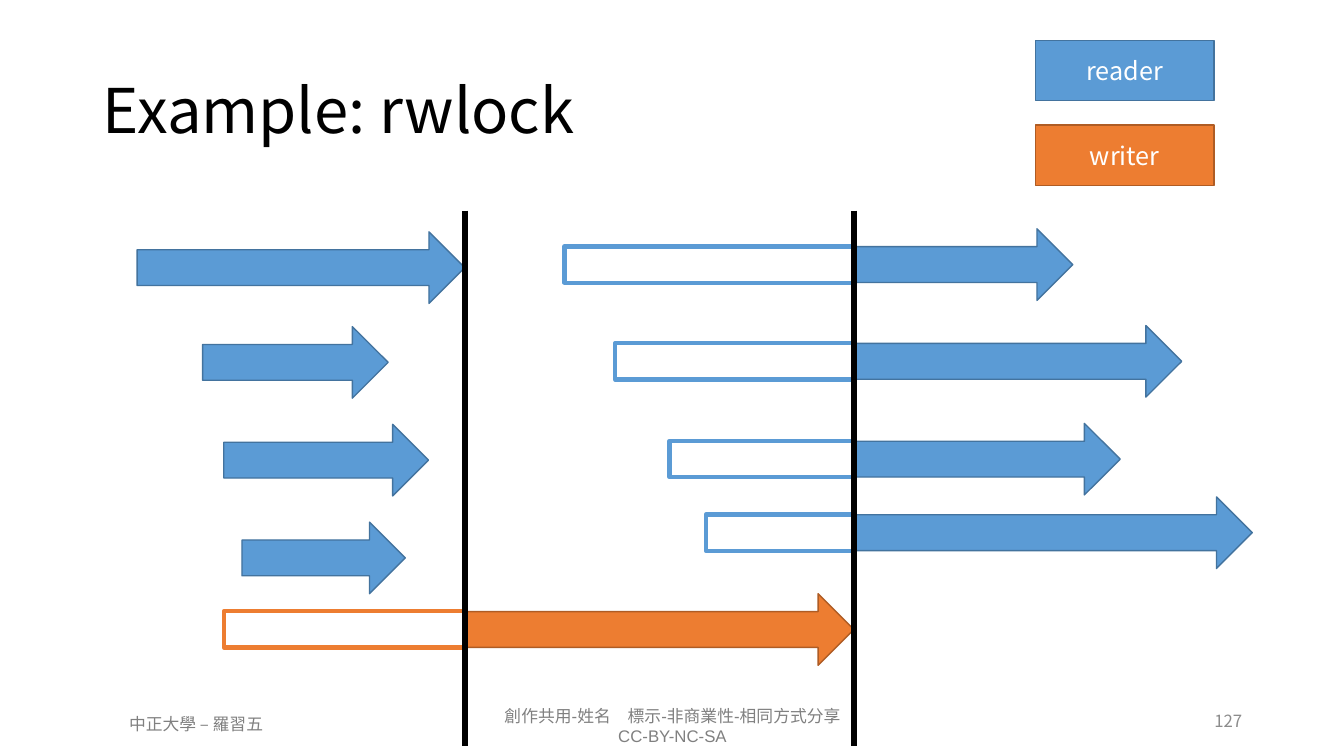
from pptx import Presentation
from pptx.dml.color import RGBColor
from pptx.enum.shapes import MSO_CONNECTOR as CONN, MSO_SHAPE as SHAPE
from pptx.enum.text import MSO_ANCHOR as ANCHOR, PP_ALIGN as ALIGN
from pptx.oxml.ns import qn
from pptx.util import Inches, Pt
from lxml.etree import SubElement

BLUE = RGBColor(0x5B, 0x9B, 0xD5)
BLUE_EDGE = RGBColor(0x43, 0x73, 0x9E)
ORANGE = RGBColor(0xED, 0x7D, 0x31)
ORANGE_EDGE = RGBColor(0xAF, 0x5C, 0x24)
BLACK = RGBColor(0, 0, 0)
WHITE = RGBColor(0xFF, 0xFF, 0xFF)
GRAY = RGBColor(0x80, 0x80, 0x80)
LIGHT_GRAY = RGBColor(0x8C, 0x8C, 0x8C)
FONT = "Noto Sans CJK TC"

WRITE_START, WRITE_END = 4.61, 8.47
ARROW_H, WAIT_H = 0.71, 0.36

prs = Presentation()
prs.slide_width, prs.slide_height = Inches(13.33), Inches(7.5)
s = prs.slides.add_slide(prs.slide_layouts[5])


def add_box(kind, x, y, w, h, fill, edge, weight=1):
    sp = s.shapes.add_shape(kind, Inches(x), Inches(y), Inches(w), Inches(h))
    sp.shadow.inherit = False
    if fill is None:
        sp.fill.background()
    else:
        sp.fill.solid()
        sp.fill.fore_color.rgb = fill
    sp.line.color.rgb = edge
    sp.line.width = Pt(weight)
    return sp


def set_text(sp, text, size, color, align, anchor=ANCHOR.MIDDLE, font=FONT):
    tf = sp.text_frame
    tf.text = text
    tf.word_wrap = True
    tf.vertical_anchor = anchor
    for p in tf.paragraphs:
        p.alignment = align
        for r in p.runs:
            r.font.name = font
            r.font.size = Pt(size)
            r.font.color.rgb = color


title = s.shapes.title
title.left, title.top = Inches(0.92), Inches(0.4)
title.width, title.height = Inches(11.5), Inches(1.45)
set_text(title, "Example: rwlock", 44, BLACK, ALIGN.LEFT)
title.text_frame.paragraphs[0].line_spacing = 0.9

for x, y, w in [(1.36, 2.3, 3.25), (2.01, 3.24, 1.84), (2.22, 4.21, 2.03), (2.4, 5.18, 1.62)]:
    add_box(SHAPE.RIGHT_ARROW, x, y, w, ARROW_H, BLUE, BLUE_EDGE)

waits = [
    (2.22, WRITE_START, 5.89, 3.86, ORANGE, ORANGE_EDGE),
    (5.6, WRITE_END, 2.27, 2.17, BLUE, BLUE_EDGE),
    (6.1, WRITE_END, 3.23, 3.25, BLUE, BLUE_EDGE),
    (6.64, WRITE_END, 4.2, 2.64, BLUE, BLUE_EDGE),
    (7, WRITE_END, 4.93, 3.95, BLUE, BLUE_EDGE),
]
for x, start, y, w, color, edge in waits:
    wait_y = y + (ARROW_H - WAIT_H) / 2
    add_box(SHAPE.RECTANGLE, x, wait_y, start - x, WAIT_H, None, color, 3)
    add_box(SHAPE.RIGHT_ARROW, start, y, w, ARROW_H, color, edge)

for x in (WRITE_START, WRITE_END):
    barrier = s.shapes.add_connector(CONN.STRAIGHT, Inches(x), Inches(2.09), Inches(x), Inches(7.4))
    barrier.line.color.rgb = BLACK
    barrier.line.width = Pt(4.5)
    SubElement(barrier._element.spPr, qn("a:effectLst"))

for label, y, color, edge in [("reader", 0.4, BLUE, BLUE_EDGE), ("writer", 1.24, ORANGE, ORANGE_EDGE)]:
    sp = add_box(SHAPE.RECTANGLE, 10.27, y, 1.77, 0.6, color, edge)
    set_text(sp, label, 18, WHITE, ALIGN.CENTER)

footers = [
    ("創作共用-姓名　標示-非商業性-相同方式分享\nCC-BY-NC-SA", 4.21, 6.95, 4.92, 0.5, GRAY, ALIGN.CENTER, ANCHOR.TOP, "Arial"),
    ("中正大學 – 羅習五", 0.69, 7.03, 2.51, 0.3, GRAY, ALIGN.CENTER, ANCHOR.TOP, "Arial"),
    ("127", 9.42, 6.95, 3, 0.4, LIGHT_GRAY, ALIGN.RIGHT, ANCHOR.MIDDLE, FONT),
]
for text, x, y, w, h, color, align, anchor, font in footers:
    sp = s.shapes.add_textbox(Inches(x), Inches(y), Inches(w), Inches(h))
    set_text(sp, text, 12, color, align, anchor, font)

prs.save("out.pptx")
